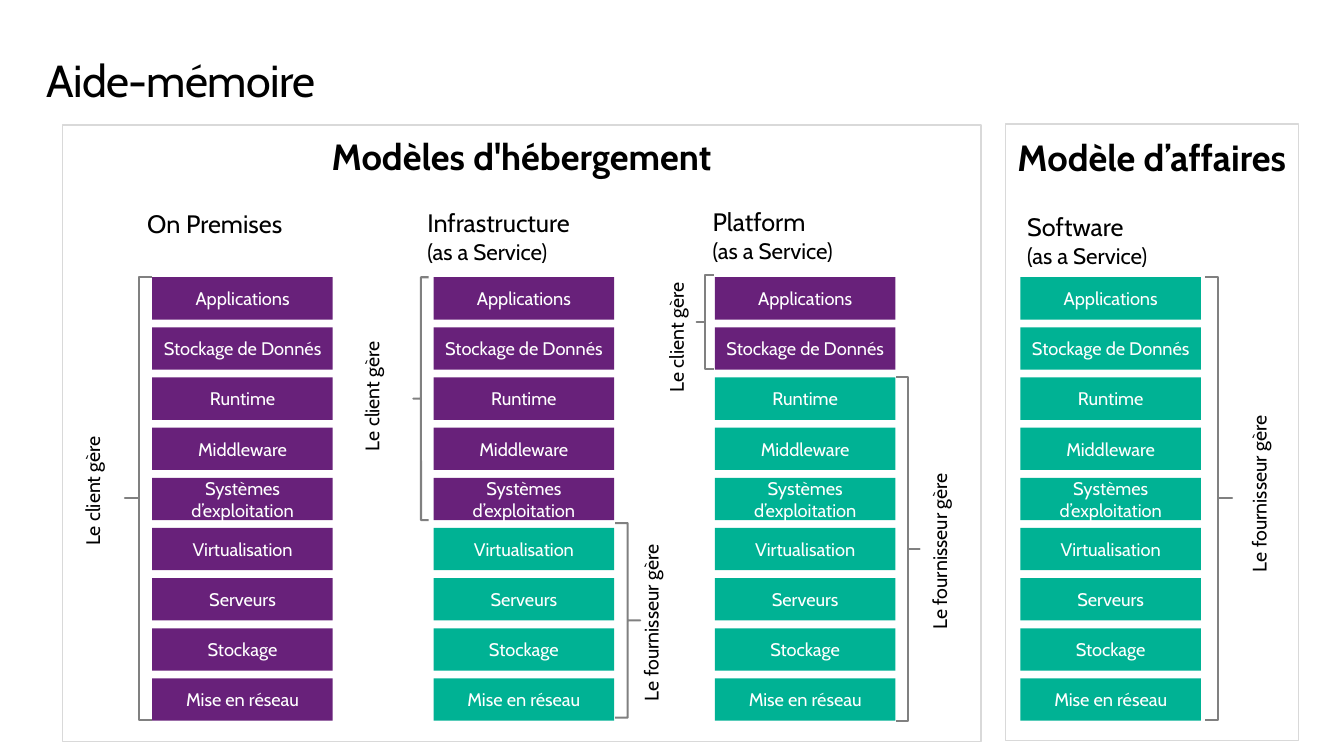
from dataclasses import dataclass

from pptx import Presentation
from pptx.dml import color
from pptx.enum import shapes, text
from pptx import util as u


@dataclass(frozen=True)
class Theme:
    font: str = "Cabin"
    client: str = "68217A"
    provider: str = "00B294"
    ink: str = "000000"
    on_fill: str = "FFFFFF"
    brace: str = "808080"
    frame: str = "D9D9D9"
    title_size: int = 32
    panel_size: int = 26
    model_size: int = 18
    service_size: int = 16
    manager_size: int = 14
    layer_size: int = 13


@dataclass(frozen=True)
class Box:
    left: float
    top: float
    width: float
    height: float


@dataclass(frozen=True)
class Panel:
    heading: str
    frame: Box
    heading_top: float


@dataclass(frozen=True)
class Manager:
    """A brace around some layers, and the label of who manages them."""
    label: str
    brace: Box
    label_left: float
    label_top: float


@dataclass(frozen=True)
class Model:
    name: str
    heading: Box
    stack_left: float
    client_layers: int
    managers: tuple[Manager, ...]
    as_service: bool = True


THEME = Theme()
CLIENT, PROVIDER = "Le client gère", "Le fournisseur gère"
LABEL_LENGTH = {CLIENT: 1.26, PROVIDER: 1.76}
LABEL_WIDTH = 0.44

LAYERS = ("Applications", "Stockage de Donnés", "Runtime", "Middleware",
          "Systèmes d’exploitation", "Virtualisation", "Serveurs", "Stockage",
          "Mise en réseau")
LAYER_WIDTH, LAYER_HEIGHT = 1.79, 0.42
FIRST_TOP, LAST_TOP = 2.75, 6.73
LAYER_PITCH = (LAST_TOP - FIRST_TOP) / (len(LAYERS) - 1)

PANELS = (
    Panel("Modèles d'hébergement", Box(0.62, 1.24, 9.11, 6.12), 1.33),
    Panel("Modèle d’affaires", Box(9.97, 1.23, 2.91, 6.12), 1.34),
)
MODELS = (
    Model("On Premises", Box(1.11, 2.07, 2.04, 0.7), 1.51, 9,
          (Manager(CLIENT, Box(1.24, 2.75, 0.27, 4.39), 0.75, 4.24),),
          as_service=False),
    Model("Infrastructure", Box(4.14, 2.06, 2.84, 0.7), 4.3, 5,
          (Manager(CLIENT, Box(4.1, 2.75, 0.15, 2.41), 3.52, 3.3),
           Manager(PROVIDER, Box(6.1, 5.19, 0.25, 1.93), 6.29, 5.3))),
    Model("Platform", Box(6.97, 2.05, 2.82, 0.7), 7.09, 2,
          (Manager(CLIENT, Box(6.91, 2.73, 0.17, 0.93), 6.54, 2.72),
           Manager(PROVIDER, Box(8.89, 3.74, 0.23, 3.41), 9.15, 4.59))),
    Model("Software", Box(10.09, 2.1, 2.66, 0.7), 10.12, 0,
          (Manager(PROVIDER, Box(11.95, 2.75, 0.27, 4.39), 12.32, 4.02),)),
)


def place(box: Box) -> tuple[u.Length, ...]:
    return tuple(u.Inches(n) for n in (box.left, box.top, box.width, box.height))


def style(paragraph, size: int, ink: str = THEME.ink, bold: bool = False,
          align=text.PP_ALIGN.CENTER) -> None:
    paragraph.alignment = align
    paragraph.font.name = THEME.font
    paragraph.font.size = u.Pt(size)
    paragraph.font.bold = bold
    paragraph.font.color.rgb = color.RGBColor.from_string(ink)


def add_shape(slide, kind, box: Box, fill: str = "", line: str = "",
              weight: float = 1):
    shape = slide.shapes.add_shape(kind, *place(box))
    shape.shadow.inherit = False
    if fill:
        shape.fill.solid()
        shape.fill.fore_color.rgb = color.RGBColor.from_string(fill)
    else:
        shape.fill.background()
    if line:
        shape.line.color.rgb = color.RGBColor.from_string(line)
        shape.line.width = u.Pt(weight)
    else:
        shape.line.fill.background()
    return shape


def add_text(slide, box: Box, wording: str, side_inset: float = 0,
             end_inset: float = 0):
    frame = slide.shapes.add_textbox(*place(box)).text_frame
    frame.word_wrap = True
    frame.margin_left = frame.margin_right = u.Inches(side_inset)
    frame.margin_top = frame.margin_bottom = u.Inches(end_inset)
    frame.text = wording
    return frame


def draw_title(slide) -> None:
    frame = add_text(slide, Box(0.46, 0.48, 12.4, 0.74), "Aide-mémoire",
                     end_inset=0.1)
    title = frame.paragraphs[0]
    style(title, THEME.title_size, align=text.PP_ALIGN.LEFT)
    title.line_spacing = 0.9
    title.runs[0].font._element.set("spc", "-50")


def draw_panel(slide, panel: Panel) -> None:
    add_shape(slide, shapes.MSO_SHAPE.RECTANGLE, panel.frame,
              line=THEME.frame, weight=0.85)
    heading_box = Box(panel.frame.left, panel.heading_top, panel.frame.width, 0.7)
    heading = add_text(slide, heading_box, panel.heading)
    style(heading.paragraphs[0], THEME.panel_size, bold=True)


def draw_manager(slide, manager: Manager) -> None:
    kind = (shapes.MSO_SHAPE.LEFT_BRACE if manager.label == CLIENT
            else shapes.MSO_SHAPE.RIGHT_BRACE)
    brace = add_shape(slide, kind, manager.brace, line=THEME.brace, weight=1.5)
    brace.adjustments[0], brace.adjustments[1] = 0, 0.5

    label_box = Box(manager.label_left, manager.label_top, LABEL_WIDTH,
                    LABEL_LENGTH[manager.label])
    label = add_text(slide, label_box, manager.label, 0.1, 0.05)
    label.word_wrap = False
    label.auto_size = text.MSO_AUTO_SIZE.SHAPE_TO_FIT_TEXT
    label._txBody.bodyPr.set("vert", "vert270")  # reads upwards
    style(label.paragraphs[0], THEME.manager_size)


def draw_model(slide, model: Model) -> None:
    # Heading
    if model.as_service:
        heading = add_text(slide, model.heading,
                           f"{model.name}\n(as a Service)", 0.1)
        name, service = heading.paragraphs
        style(name, THEME.model_size, align=text.PP_ALIGN.LEFT)
        style(service, THEME.service_size, align=text.PP_ALIGN.LEFT)
    else:
        heading = add_text(slide, model.heading, model.name)
        style(heading.paragraphs[0], THEME.model_size)

    # Stack of layers, the client's on top
    for row, layer_name in enumerate(LAYERS):
        fill = THEME.client if row < model.client_layers else THEME.provider
        box = Box(model.stack_left, FIRST_TOP + row * LAYER_PITCH,
                  LAYER_WIDTH, LAYER_HEIGHT)
        layer = add_shape(slide, shapes.MSO_SHAPE.RECTANGLE, box, fill=fill)
        layer.text_frame.text = layer_name
        layer.text_frame.word_wrap = True
        layer.text_frame.vertical_anchor = text.MSO_ANCHOR.MIDDLE
        style(layer.text_frame.paragraphs[0], THEME.layer_size, THEME.on_fill)

    # Who manages which layers
    for manager in model.managers:
        draw_manager(slide, manager)


def main() -> None:
    deck = Presentation()
    deck.slide_width, deck.slide_height = u.Inches(13.33), u.Inches(7.5)
    slide = deck.slides.add_slide(deck.slide_layouts[6])
    draw_title(slide)
    for panel in PANELS:
        draw_panel(slide, panel)
    for model in MODELS:
        draw_model(slide, model)
    deck.save("out.pptx")


if __name__ == "__main__":
    main()
